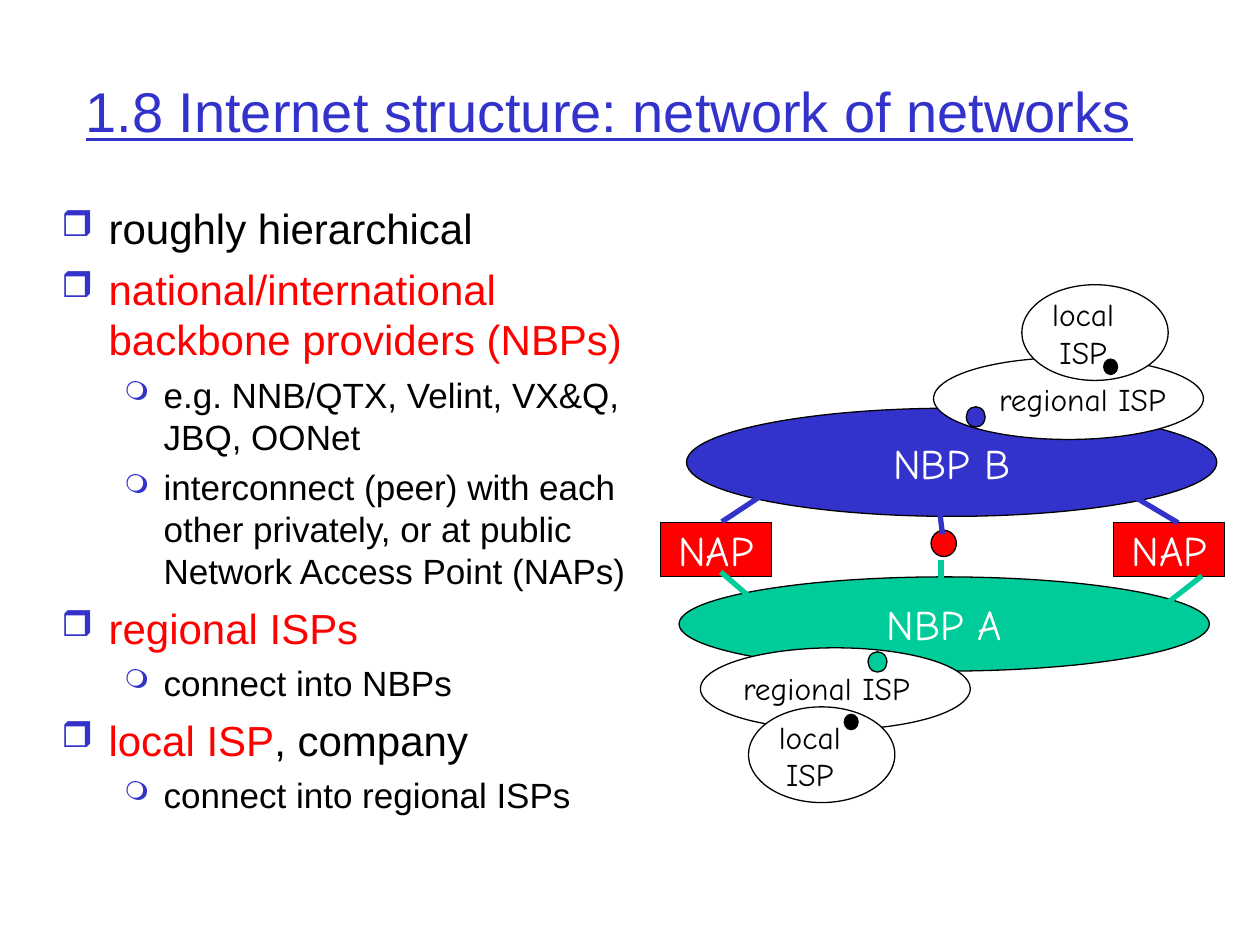
import pptx
import pptx.dml.color
import pptx.enum.shapes
import pptx.enum.text
import pptx.oxml.ns
import pptx.util
from lxml import etree
from pptx.util import Cm, Pt

COLORS = {
    "blue": "3333CC",
    "green": "00CC99",
    "red": "FF0000",
    "black": "000000",
    "white": "FFFFFF",
}
BODY_FONT = "Arial"
DIAGRAM_FONT = "Comic Neue"
SHAPES = pptx.enum.shapes.MSO_SHAPE
ALIGN = pptx.enum.text.PP_ALIGN
ANCHOR = pptx.enum.text.MSO_ANCHOR

# Each level: margin and hanging indent (cm), space before, bullet, bullet size %, text size
LEVELS = [
    (0.95, 0.95, 6, "❒", 85, 24),
    (2.06, 0.79, 5, "❍", 75, 20),
]
# Each point: level, then pairs of text and colour
POINTS = [
    (0, [("roughly hierarchical", "black")]),
    (0, [("national/international backbone providers (NBPs)", "red")]),
    (1, [("e.g. NNB/QTX, Velint, VX&Q, JBQ, OONet", "black")]),
    (1, [("interconnect (peer) with each other privately, or at public "
          "Network Access Point (NAPs)", "black")]),
    (0, [("regional ISPs", "red")]),
    (1, [("connect into NBPs", "black")]),
    (0, [("local ISP", "red"), (", company", "black")]),
    (1, [("connect into regional ISPs", "black")]),
]
# Each link: start x, y, end x, y within the diagram (cm), colour
LINKS = [
    (1.24, 4.78, 2.36, 4.04, "blue"),
    (10.44, 4.8, 9.5, 4.24, "blue"),
    (5.69, 5.03, 5.61, 4.39, "blue"),
    (1.22, 5.79, 2.31, 6.73, "green"),
    (10.92, 5.87, 10.24, 6.4, "green"),
    (5.66, 5.54, 5.66, 6.27, "green"),
]


def rgb(name):
    return pptx.dml.color.RGBColor.from_string(COLORS[name])


def style_span(span, font, size, color):
    span.font.name = font
    span.font.size = Pt(size)
    span.font.color.rgb = rgb(color)


def write_label(shape, text, size, color, align=ALIGN.CENTER):
    frame = shape.text_frame
    frame.word_wrap = False
    frame.text = text
    for para in frame.paragraphs:
        para.alignment = align
        for span in para.runs:
            style_span(span, DIAGRAM_FONT, size, color)


def add_node(slide, kind, left, top, width, height, fill, text=""):
    node = slide.shapes.add_shape(kind, Cm(left), Cm(top), Cm(width), Cm(height))
    node.shadow.inherit = False
    node.fill.solid()
    node.fill.fore_color.rgb = rgb(fill)
    node.line.color.rgb = rgb("black")
    node.line.width = Pt(0.75)
    if text:
        node.text_frame.vertical_anchor = ANCHOR.MIDDLE
        write_label(node, text, 24, "white")


def add_link(slide, x1, y1, x2, y2, color):
    link = slide.shapes.add_connector(
        pptx.enum.shapes.MSO_CONNECTOR.STRAIGHT, Cm(x1), Cm(y1), Cm(x2), Cm(y2))
    link.line.color.rgb = rgb(color)
    link.line.width = Pt(3)
    etree.SubElement(link._element.spPr, pptx.oxml.ns.qn("a:effectLst"))


def add_caption(slide, left, top, width, height, text, align):
    caption = slide.shapes.add_textbox(Cm(left), Cm(top), Cm(width), Cm(height))
    write_label(caption, text, 18, "black", align)


def add_regional_isp(slide, left, top, dot, caption, dot_color):
    add_node(slide, SHAPES.OVAL, left, top, 5.44, 1.65, "white")
    add_node(slide, SHAPES.OVAL, left + dot[0], top + dot[1], 0.38, 0.41, dot_color)
    add_caption(slide, left + caption[0], top + caption[1], 3.89, 1.02,
                "regional ISP", ALIGN.LEFT)


def add_local_isp(slide, left, top, dot):
    add_node(slide, SHAPES.OVAL, left, top, 2.95, 1.93, "white")
    add_caption(slide, left + 0.36, top + 0.09, 1.75, 1.78, "local\nISP", ALIGN.CENTER)
    add_node(slide, SHAPES.OVAL, left + dot[0], top + dot[1], 0.28, 0.31, "black")


def set_bullet(para, char, percent):
    props = para._p.get_or_add_pPr()
    color = etree.SubElement(props, pptx.oxml.ns.qn("a:buClr"))
    etree.SubElement(color, pptx.oxml.ns.qn("a:srgbClr"), val=COLORS["blue"])
    etree.SubElement(props, pptx.oxml.ns.qn("a:buSzPct"), val=str(percent * 1000))
    etree.SubElement(props, pptx.oxml.ns.qn("a:buChar"), char=char)


def build_title(slide, left, top, width, height):
    title = slide.shapes.title
    title.left, title.top, title.width, title.height = map(Cm, (left, top, width, height))
    frame = title.text_frame
    frame.text = "1.8 Internet structure: network of networks"
    frame.vertical_anchor = ANCHOR.MIDDLE
    frame.paragraphs[0].alignment = ALIGN.LEFT
    span = frame.paragraphs[0].runs[0]
    style_span(span, BODY_FONT, 32, "blue")
    span.font.underline = True


def build_points(slide, left, top, width, height):
    box = slide.shapes.add_textbox(Cm(left), Cm(top), Cm(width), Cm(height))
    frame = box.text_frame
    frame.word_wrap = True
    for number, (level, parts) in enumerate(POINTS):
        para = frame.add_paragraph() if number else frame.paragraphs[0]
        margin, hanging, before, char, percent, size = LEVELS[level]
        para.level = level
        para.space_before = Pt(before)
        props = para._p.get_or_add_pPr()
        props.set("marL", str(Cm(margin)))
        props.set("indent", str(-Cm(hanging)))
        set_bullet(para, char, percent)
        for text, color in parts:
            span = para.add_run()
            span.text = text
            style_span(span, BODY_FONT, size, color)


def build_network(slide, left, top):
    # Backbone providers
    add_node(slide, SHAPES.OVAL, left + 0.38, top + 5.89, 10.69, 1.9, "green", "NBP A")
    add_node(slide, SHAPES.OVAL, left + 0.53, top + 2.49, 10.69, 2.18, "blue", "NBP B")
    # Access points and the private peering point
    for x in (0, 9.14):
        add_node(slide, SHAPES.RECTANGLE, left + x, top + 4.79, 2.24, 1.09, "red", "NAP")
    add_node(slide, SHAPES.OVAL, left + 5.46, top + 4.95, 0.51, 0.53, "red")
    for x1, y1, x2, y2, color in LINKS:
        add_link(slide, left + x1, top + y1, left + x2, top + y2, color)
    # Regional providers
    add_regional_isp(slide, left + 5.51, top + 1.47, (0.66, 0.99), (1.07, 0.33), "blue")
    add_regional_isp(slide, left + 0.81, top + 7.32, (3.38, 0.08), (0.61, 0.3), "green")
    # Local providers
    add_local_isp(slide, left + 7.29, top, (1.65, 1.5))
    add_local_isp(slide, left + 1.78, top + 8.51, (1.93, 0.15))


def main():
    deck = pptx.Presentation()
    deck.slide_width, deck.slide_height = Cm(25.4), Cm(19.05)
    slide = deck.slides.add_slide(deck.slide_layouts[5])
    build_title(slide, 1.47, 0.64, 22.48, 3.18)
    build_points(slide, 0.99, 3.96, 12.12, 12.9)
    build_network(slide, 13.31, 5.74)
    deck.save("out.pptx")


if __name__ == "__main__":
    main()
